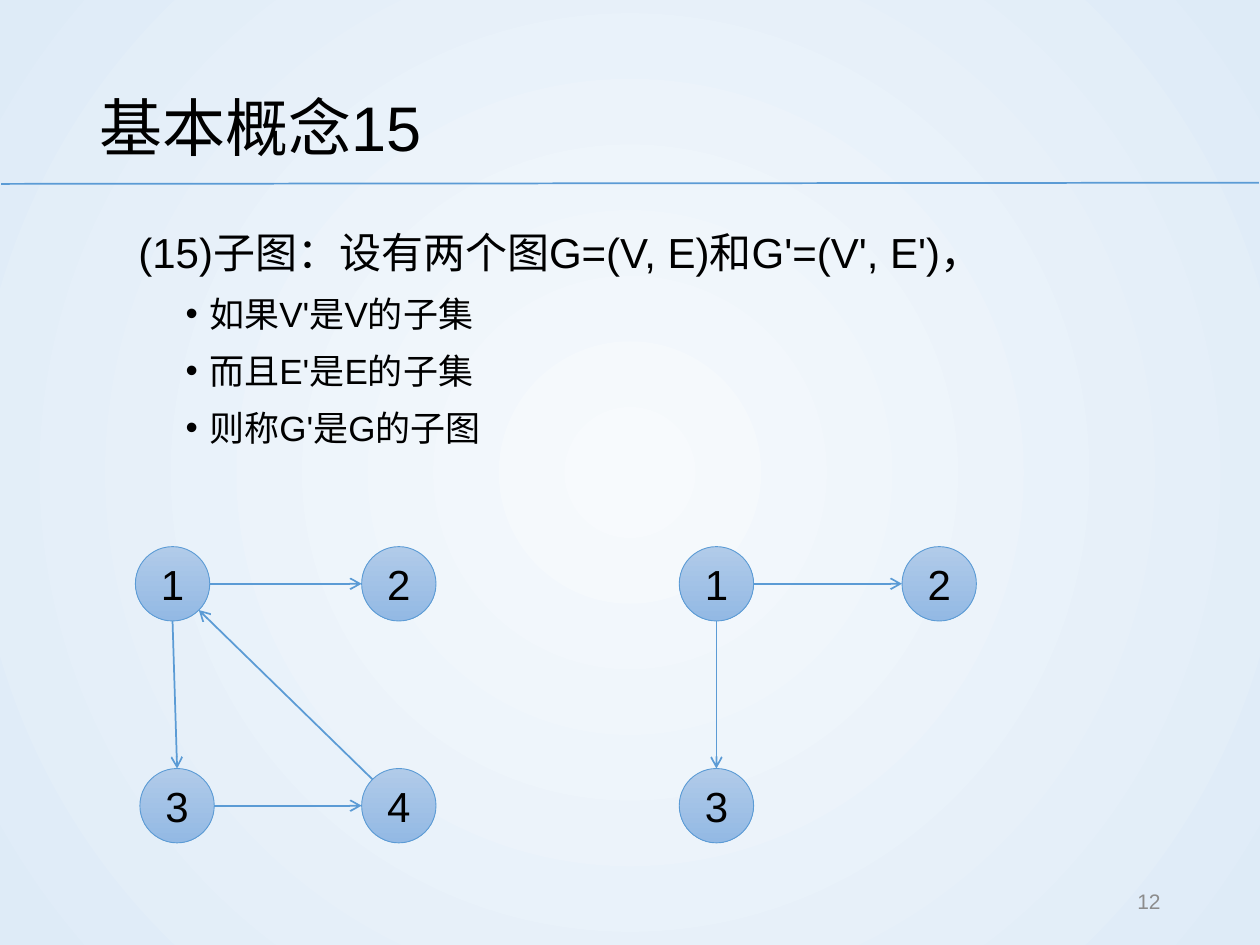
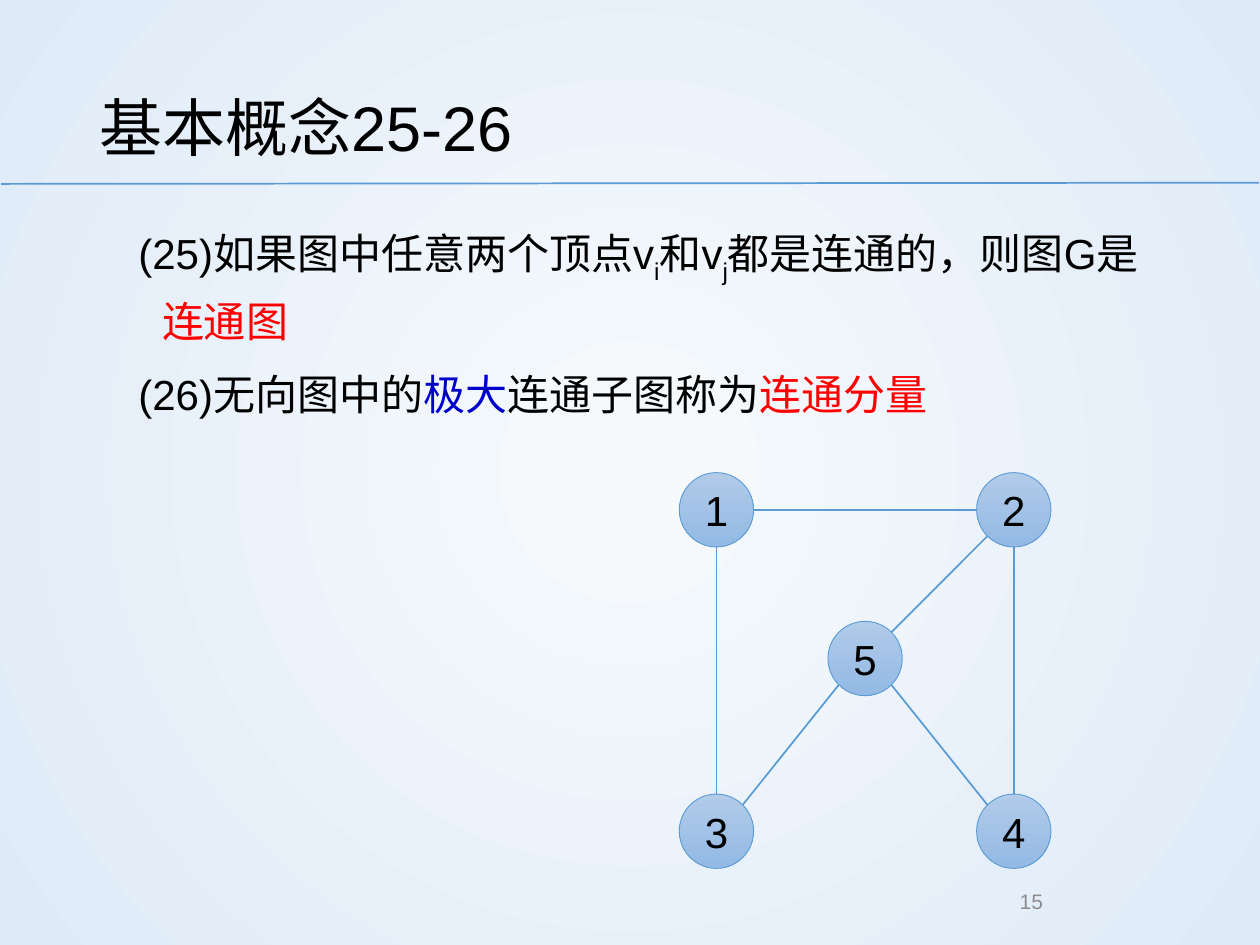
import math

from lxml import etree
from pptx import Presentation
from pptx.dml.color import RGBColor
from pptx.enum import lang, shapes, text
from pptx.oxml.ns import qn
from pptx.util import Pt

COLORS = {
    "black": "000000", "red": "FF0000", "blue": "0000CC", "grey": "8C8C8C",
    "line": "5B9BD5", "node top": "B1CBE9", "node bottom": "93B9E4",
    "centre": "F7FAFD", "rim": "DEEBF7",
}
RGB = {name: RGBColor.from_string(value) for name, value in COLORS.items()}
FONT = "Arial"
DIAMETER = 42.5
ALIGN = text.PP_ALIGN

LEFT, RIGHT = 98.6, 409.4
TOP, BOTTOM = 333.6, 460.4
TOP_2, BOTTOM_2, FAR_RIGHT = 291.3, 475, 579.3

# Runs are (text, colour, is subscript); graphs are (nodes, edges, directed).
SLIDES = [
    {
        "title": "基本概念15",
        "body width": 626.4,
        "items": [[("(15)子图：设有两个图G=(V, E)和G'=(V', E')，", "black", False)]],
        "bullets": ["如果V'是V的子集", "而且E'是E的子集", "则称G'是G的子图"],
        "graphs": [
            ({1: (LEFT, TOP), 2: (227.9, TOP), 3: (101.2, BOTTOM), 4: (227.9, BOTTOM)},
             [(1, 2), (1, 3), (3, 4), (4, 1)], True),
            ({1: (RIGHT, TOP), 2: (536.7, TOP), 3: (RIGHT, BOTTOM)},
             [(1, 2), (1, 3)], True),
        ],
        "number": ("12", ALIGN.RIGHT, 7.2),
    },
    {
        "title": "基本概念25-26",
        "body width": 598.3,
        "items": [
            [("(25)如果图中任意两个顶点v", "black", False), ("i", "black", True),
             ("和v", "black", False), ("j", "black", True),
             ("都是连通的，则图G是", "black", False), ("连通图", "red", False)],
            [("(26)无向图中的", "black", False), ("极大", "blue", False),
             ("连通子图称为", "black", False), ("连通分量", "red", False)],
        ],
        "bullets": [],
        "graphs": [
            ({1: (RIGHT, TOP_2), 2: (FAR_RIGHT, TOP_2), 3: (RIGHT, BOTTOM_2),
              4: (FAR_RIGHT, BOTTOM_2), 5: ((RIGHT + FAR_RIGHT) / 2, 376.3)},
             [(1, 2), (1, 3), (4, 2), (5, 3), (5, 2), (5, 4)], False),
        ],
        "number": ("15", ALIGN.CENTER, 0),
    },
]


def write(frame, content, size, color="black", align=ALIGN.LEFT, spacing=None,
          before=0, margin=0, hanging=0, bullet=None):
    """Add one paragraph; content is a string or a list of runs."""
    paragraph = frame.paragraphs[0]
    if paragraph.runs:
        paragraph = frame.add_paragraph()
    paragraph.alignment = align
    paragraph.line_spacing = spacing
    paragraph.space_before = Pt(before)
    properties = paragraph._p.get_or_add_pPr()
    properties.set("marL", str(Pt(margin)))
    properties.set("indent", str(Pt(-hanging)))
    if bullet:
        etree.SubElement(properties, qn("a:buFont"), typeface=FONT)
        etree.SubElement(properties, qn("a:buChar"), char=bullet)
    if isinstance(content, str):
        content = [(content, color, False)]
    for words, run_color, subscript in content:
        run = paragraph.add_run()
        run.text = words
        run.font.size = Pt(size)
        run.font.name = FONT
        run.font.color.rgb = RGB[run_color]
        run.font.language_id = lang.MSO_LANGUAGE_ID.SIMPLIFIED_CHINESE
        if subscript:
            run._r.get_or_add_rPr().set("baseline", "-25000")


def draw_line(slide, x1, y1, x2, y2, arrow=False):
    line = slide.shapes.add_connector(
        shapes.MSO_CONNECTOR.STRAIGHT, Pt(x1), Pt(y1), Pt(x2), Pt(y2))
    line.line.color.rgb = RGB["line"]
    line.line.width = Pt(1)
    properties = line._element.spPr
    if arrow:
        etree.SubElement(properties.find(qn("a:ln")), qn("a:tailEnd"), type="arrow")
    etree.SubElement(properties, qn("a:effectLst"))


prs = Presentation()
prs.slide_width, prs.slide_height = Pt(720), Pt(540)

# The background is shared by way of the master
master = prs.slide_master
backdrop = master.background.fill
backdrop.gradient()
for stop, name in zip(backdrop.gradient_stops, ("centre", "rim")):
    stop.color.rgb = RGB[name]
gradient = master._element.find(".//" + qn("p:bgPr")).find(qn("a:gradFill"))
gradient.remove(gradient.find(qn("a:lin")))
circle = etree.SubElement(gradient, qn("a:path"), path="circle")
etree.SubElement(circle, qn("a:fillToRect"), l="50000", t="50000", r="50000", b="50000")

for content in SLIDES:
    slide = prs.slides.add_slide(prs.slide_layouts[6])
    draw_line(slide, 0.7, 105.1, 719.3, 104.4)

    title = slide.shapes.add_textbox(Pt(49.7), Pt(28.8), Pt(620.6), Pt(77.8)).text_frame
    title.word_wrap = True
    title.vertical_anchor = text.MSO_ANCHOR.MIDDLE
    write(title, content["title"], 36, spacing=1.2)

    body = slide.shapes.add_textbox(
        Pt(72), Pt(120.2), Pt(content["body width"]), Pt(360)).text_frame
    body.word_wrap = True
    for item in content["items"]:
        write(body, item, 24, spacing=1.2, before=7.5, margin=13.5, hanging=13.5)
    for condition in content["bullets"]:
        write(body, condition, 20, spacing=1.2, before=3.8, margin=40.5,
              hanging=13.5, bullet="•")

    for nodes, edges, directed in content["graphs"]:
        for label, (x, y) in nodes.items():
            node = slide.shapes.add_shape(
                shapes.MSO_SHAPE.OVAL, Pt(x - DIAMETER / 2), Pt(y - DIAMETER / 2),
                Pt(DIAMETER), Pt(DIAMETER))
            node.shadow.inherit = False
            node.fill.gradient()
            node.fill.gradient_angle = 270
            for stop, name in zip(node.fill.gradient_stops, ("node top", "node bottom")):
                stop.color.rgb = RGB[name]
            node.line.color.rgb = RGB["line"]
            node.line.width = Pt(0.5)
            frame = node.text_frame
            frame.margin_left = frame.margin_right = 0
            frame.margin_top = frame.margin_bottom = 0
            frame.vertical_anchor = text.MSO_ANCHOR.MIDDLE
            write(frame, str(label), 24, align=ALIGN.CENTER)

        # Edges leave and enter at the nearest of eight points on the circle
        for start, end in edges:
            (x1, y1), (x2, y2) = nodes[start], nodes[end]
            eighth = math.pi / 4
            angle = round(math.atan2(y2 - y1, x2 - x1) / eighth) * eighth
            dx = DIAMETER / 2 * math.cos(angle)
            dy = DIAMETER / 2 * math.sin(angle)
            draw_line(slide, x1 + dx, y1 + dy, x2 - dx, y2 - dy, arrow=directed)

    number, align, inset = content["number"]
    footer = slide.shapes.add_textbox(Pt(508.3), Pt(500.4), Pt(162), Pt(28.8)).text_frame
    footer.word_wrap = True
    footer.vertical_anchor = text.MSO_ANCHOR.MIDDLE
    footer.margin_left = footer.margin_right = Pt(inset)
    write(footer, number, 12, color="grey", align=align)

prs.save("out.pptx")
